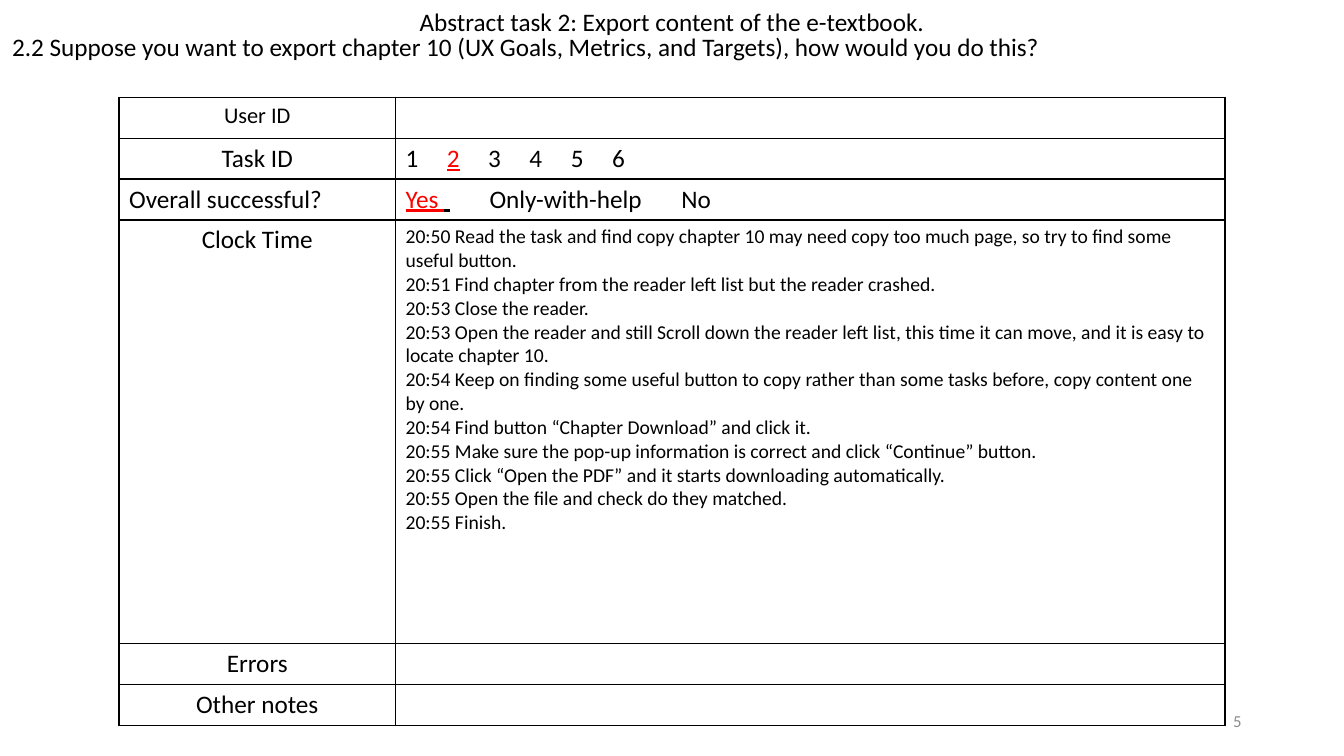
from lxml import etree
from pptx import Presentation
from pptx.dml.color import RGBColor
from pptx.enum import text
from pptx.oxml.ns import qn
from pptx.util import Pt

FONT = "Calibri"
BLACK, RED, GREY = "000000", "FF0000", "8C8C8C"
LEFT, CENTER, RIGHT = text.PP_ALIGN.LEFT, text.PP_ALIGN.CENTER, text.PP_ALIGN.RIGHT

LABELS = ["User ID", "Task ID", "Overall successful?", "Clock Time", "Errors", "Other notes"]
ROW_HEIGHTS = [29, 29, 29, 302.5, 29, 29]
COLUMN_WIDTHS = [197.5, 592.5]
CLOCK_LOG = [
    "20:50 Read the task and find copy chapter 10 may need copy too much page, "
    "so try to find some useful button.",
    "20:51 Find chapter from the reader left list but the reader crashed.",
    "20:53 Close the reader.",
    "20:53 Open the reader and still Scroll down the reader left list, this time it can move, "
    "and it is easy to locate chapter 10.",
    "20:54 Keep on finding some useful button to copy rather than some tasks before, "
    "copy content one by one.",
    "20:54 Find button “Chapter Download” and click it.",
    "20:55 Make sure the pop-up information is correct and click “Continue” button.",
    "20:55 Click “Open the PDF” and it starts downloading automatically.",
    "20:55 Open the file and check do they matched.",
    "20:55 Finish.",
]


def rgb(color):
    return RGBColor.from_string(color)


def format_paragraph(p, size=18, align=LEFT, color=BLACK):
    p.alignment = align
    p.font.name, p.font.size = FONT, Pt(size)
    p.font.color.rgb = rgb(color)


def write_lines(tf, lines, **style):
    tf.text = "\n".join(lines)
    for p in tf.paragraphs:
        format_paragraph(p, **style)


def write_options(tf, runs, stops):
    """Write (text, color, underlined) runs on one line, with tab stops in points."""
    p = tf.paragraphs[0]
    format_paragraph(p)
    for words, color, underlined in runs:
        r = p.add_run()
        r.text = words
        r.font.color.rgb = rgb(color)
        r.font.underline = underlined
    tabs = etree.Element(qn("a:tabLst"))
    for stop in stops:
        etree.SubElement(tabs, qn("a:tab"), pos=str(Pt(stop)), algn="l")
    p._p.get_or_add_pPr().insert(0, tabs)


def border_cell(cell):
    cell.fill.background()
    tc_pr = cell._tc.get_or_add_tcPr()
    for i, side in enumerate(("lnL", "lnR", "lnT", "lnB")):
        ln = etree.Element(qn("a:" + side), w=str(Pt(1)))
        fill = etree.SubElement(ln, qn("a:solidFill"))
        etree.SubElement(fill, qn("a:srgbClr"), val=BLACK)
        tc_pr.insert(i, ln)


def add_text(slide, x, y, w, h, words, anchor=text.MSO_ANCHOR.TOP, **style):
    tf = slide.shapes.add_textbox(Pt(x), Pt(y), Pt(w), Pt(h)).text_frame
    tf.word_wrap = True
    tf.vertical_anchor = anchor
    write_lines(tf, [words], **style)


def add_task_table(slide, x, y):
    frame = slide.shapes.add_table(len(LABELS), 2, Pt(x), Pt(y),
                                   Pt(sum(COLUMN_WIDTHS)), Pt(sum(ROW_HEIGHTS)))
    table = frame.table
    table.first_row = table.horz_banding = False
    for column, width in zip(table.columns, COLUMN_WIDTHS):
        column.width = Pt(width)
    for row, height in zip(table.rows, ROW_HEIGHTS):
        row.height = Pt(height)
    for cell in table.iter_cells():
        border_cell(cell)
    for i, label in enumerate(LABELS):
        write_lines(table.cell(i, 0).text_frame, [label],
                    size=16 if label == "User ID" else 18,
                    align=LEFT if label == "Overall successful?" else CENTER)

    def answer(label):
        return table.cell(LABELS.index(label), 1).text_frame

    write_options(answer("Task ID"),
                  [("1\t", BLACK, False), ("2", RED, True), ("\t3\t4\t5\t6", BLACK, False)],
                  [29.5 * n for n in range(1, 6)])
    write_options(answer("Overall successful?"),
                  [("Yes ", RED, True), (" ", BLACK, True),
                   ("\tOnly-with-help\tNo", BLACK, False)],
                  [60, 197])
    write_lines(answer("Clock Time"), CLOCK_LOG, size=14)


def build_task_slide(prs):
    slide = prs.slides.add_slide(prs.slide_layouts[6])
    add_task_table(slide, 85, 69.5)
    add_text(slide, 1.5, 18.5, 957, 29,
             "2.2 Suppose you want to export chapter 10 (UX Goals, Metrics, and Targets), "
             "how would you do this?")
    add_text(slide, 266.5, 0.75, 427, 29,
             "Abstract task 2: Export content of the e-textbook.", align=CENTER)
    add_text(slide, 678, 500.5, 216, 29, "5", anchor=text.MSO_ANCHOR.MIDDLE,
             size=12, align=RIGHT, color=GREY)


def main():
    prs = Presentation()
    prs.slide_width, prs.slide_height = Pt(960), Pt(540)
    build_task_slide(prs)
    prs.save("out.pptx")


if __name__ == "__main__":
    main()
